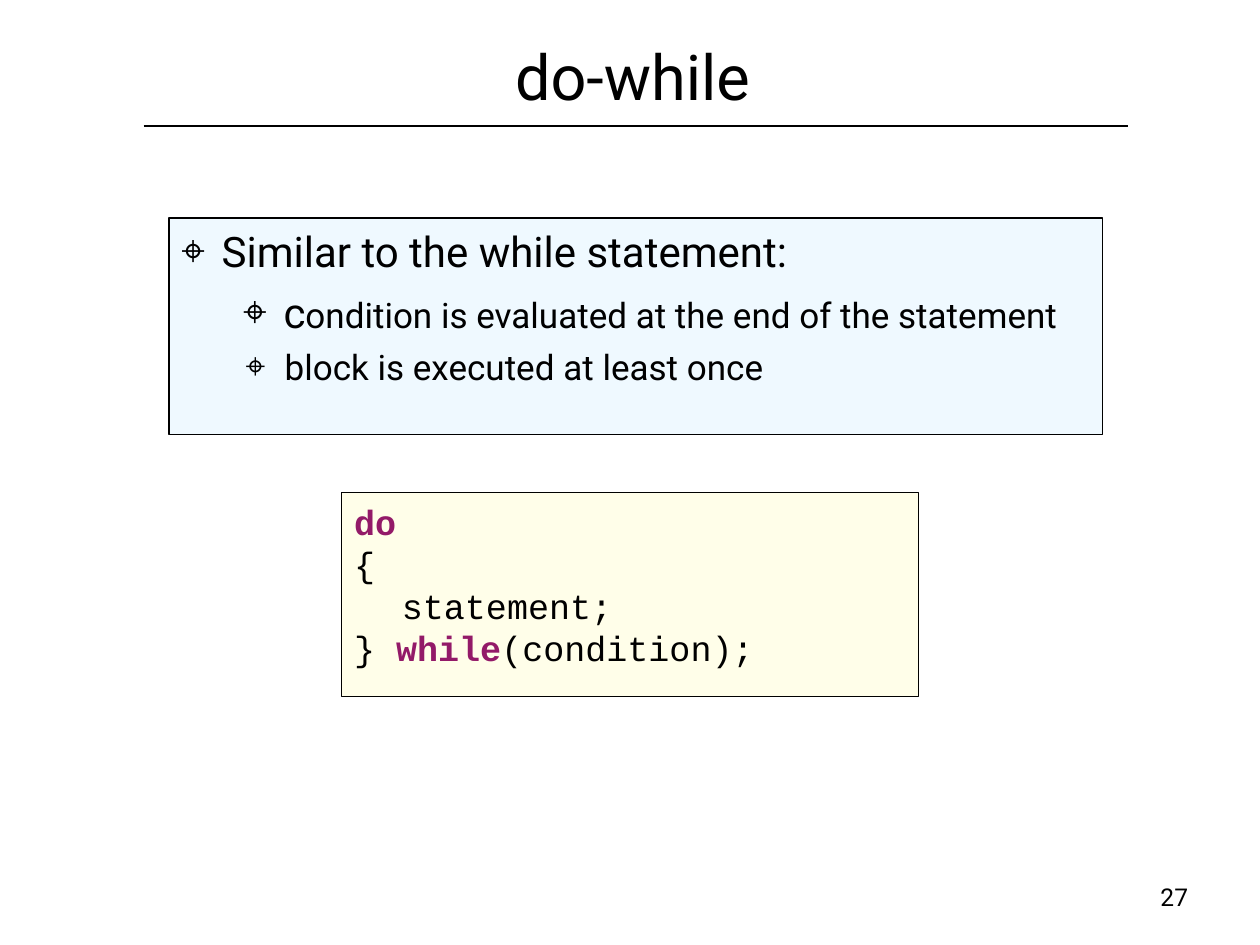
import pptx
import pptx.util
import pptx.dml.color
import pptx.enum.shapes
import pptx.enum.text
import pptx.oxml
import pptx.oxml.ns

Inches = pptx.util.Inches
Pt = pptx.util.Pt
qn = pptx.oxml.ns.qn
ALIGN = pptx.enum.text.PP_ALIGN
ANCHOR = pptx.enum.text.MSO_ANCHOR
AUTO_SIZE = pptx.enum.text.MSO_AUTO_SIZE

BLACK, PALE_BLUE, CREAM, KEYWORD = "000000", "EFF9FF", "FFFED5", "931A68"
BODY_FONT, CODE_FONT = "Roboto", "Courier New"
CODE_LEFT, CODE_TOP, CODE_WIDTH = 2.71, 3.91, 4.58


def color(hex_string):
    return pptx.dml.color.RGBColor.from_string(hex_string)


def place(shape, left, top, width, height):
    shape.left, shape.top = Inches(left), Inches(top)
    shape.width, shape.height = Inches(width), Inches(height)


def paint(shape, fill):
    shape.fill.solid()
    shape.fill.fore_color.rgb = color(fill)
    shape.line.color.rgb = color(BLACK)
    shape.line.width = Pt(0.75)


def set_frame(shape, anchor=ANCHOR.TOP, wrap=True, auto_size=AUTO_SIZE.NONE):
    frame = shape.text_frame
    frame.margin_left = frame.margin_right = Inches(0.06)
    frame.margin_top = frame.margin_bottom = Inches(0.06)
    frame.vertical_anchor = anchor
    frame.word_wrap = wrap
    frame.auto_size = auto_size
    return frame


def set_indent(paragraph, left, first):
    properties = paragraph._p.get_or_add_pPr()
    properties.set("marL", str(Inches(left)))
    properties.set("indent", str(Inches(first)))
    return properties


def add_bullet(properties, character):
    bullet_color = pptx.oxml.parse_xml(
        '<a:buClr xmlns:a="http://schemas.openxmlformats.org/drawingml/2006/main">'
        f'<a:srgbClr val="{BLACK}"/></a:buClr>')
    properties.append(bullet_color)
    bullet = properties.makeelement(qn("a:buChar"), {"char": character})
    properties.append(bullet)


def add_run(paragraph, text, size, font=BODY_FONT, ink=BLACK, bold=False):
    run = paragraph.add_run()
    run.text = text
    run.font.name, run.font.size, run.font.bold = font, Pt(size), bold
    run.font.color.rgb = color(ink)


def get_paragraph(frame, index):
    return frame.add_paragraph() if index else frame.paragraphs[0]


def add_title(slide, text):
    title = slide.shapes.title
    place(title, 0.5, 0, 9, 1.19)
    paragraph = set_frame(title, ANCHOR.MIDDLE).paragraphs[0]
    set_indent(paragraph, 0.04, 0)
    paragraph.alignment = ALIGN.CENTER
    add_run(paragraph, text, 36)


def add_rule(slide, left, right, top):
    line = slide.shapes.add_connector(
        pptx.enum.shapes.MSO_CONNECTOR.STRAIGHT,
        Inches(left), Inches(top), Inches(right), Inches(top))
    line.line.color.rgb = color(BLACK)
    line.line.width = Pt(0.75)
    properties = line._element.spPr
    properties.append(properties.makeelement(qn("a:effectLst"), {}))


def fill_body(slide, items):
    body = slide.placeholders[1]
    place(body, 1.34, 1.73, 7.41, 1.72)
    paint(body, PALE_BLUE)
    frame = set_frame(body)
    for index, (level, left, first, space, runs) in enumerate(items):
        paragraph = get_paragraph(frame, index)
        paragraph.level = level
        paragraph.space_before = Pt(space)
        add_bullet(set_indent(paragraph, left, first), "⌖")
        for text, size in runs:
            add_run(paragraph, text, size)


def add_code(slide, lines):
    group = slide.shapes.add_group_shape()
    panel = group.shapes.add_shape(
        pptx.enum.shapes.MSO_SHAPE.RECTANGLE, Inches(CODE_LEFT),
        Inches(CODE_TOP), Inches(CODE_WIDTH), Inches(1.62))
    panel.shadow.inherit = False
    paint(panel, CREAM)
    # Half-transparent fill
    fill_color = panel._element.spPr.find(qn("a:solidFill"))[0]
    fill_color.append(fill_color.makeelement(qn("a:alpha"), {"val": "50000"}))

    box = group.shapes.add_textbox(Inches(CODE_LEFT), Inches(CODE_TOP),
                                   Inches(CODE_WIDTH), Inches(1.39))
    frame = set_frame(box, auto_size=AUTO_SIZE.SHAPE_TO_FIT_TEXT)
    for index, pieces in enumerate(lines):
        paragraph = get_paragraph(frame, index)
        set_indent(paragraph, 0.42, -0.38)
        paragraph.line_spacing = Pt(24)
        for text in pieces:
            is_keyword = text in ("do", "while")
            add_run(paragraph, text, 20, CODE_FONT,
                    KEYWORD if is_keyword else BLACK, is_keyword)


def add_page_number(slide, text):
    box = slide.shapes.add_textbox(Inches(9.15), Inches(6.94),
                                   Inches(0.34), Inches(0.34))
    paragraph = set_frame(box, wrap=False).paragraphs[0]
    paragraph.alignment = ALIGN.CENTER
    add_run(paragraph, text, 14)


def main():
    presentation = pptx.Presentation()
    presentation.slide_width, presentation.slide_height = Inches(10), Inches(7.5)
    slide = presentation.slides.add_slide(presentation.slide_layouts[1])

    # Heading
    add_rule(slide, 1.14, 8.95, 1)
    add_title(slide, "do-while")

    # Level, left indent, first-line indent, space before, runs
    fill_body(slide, [
        (0, 0.36, -0.32, 0, [("Similar to the while statement:", 24)]),
        (1, 0.85, -0.32, 6, [
            ("c", 24),
            ("ondition is evaluated at the end of the statement", 20)]),
        (1, 0.86, -0.31, 5, [("block is executed at least once", 20)]),
    ])

    # Code sample
    add_code(slide, [["do"], ["{"], ["\tstatement;"],
                     ["} ", "while", "(condition);"]])
    add_page_number(slide, "27")
    presentation.save("out.pptx")


if __name__ == "__main__":
    main()
